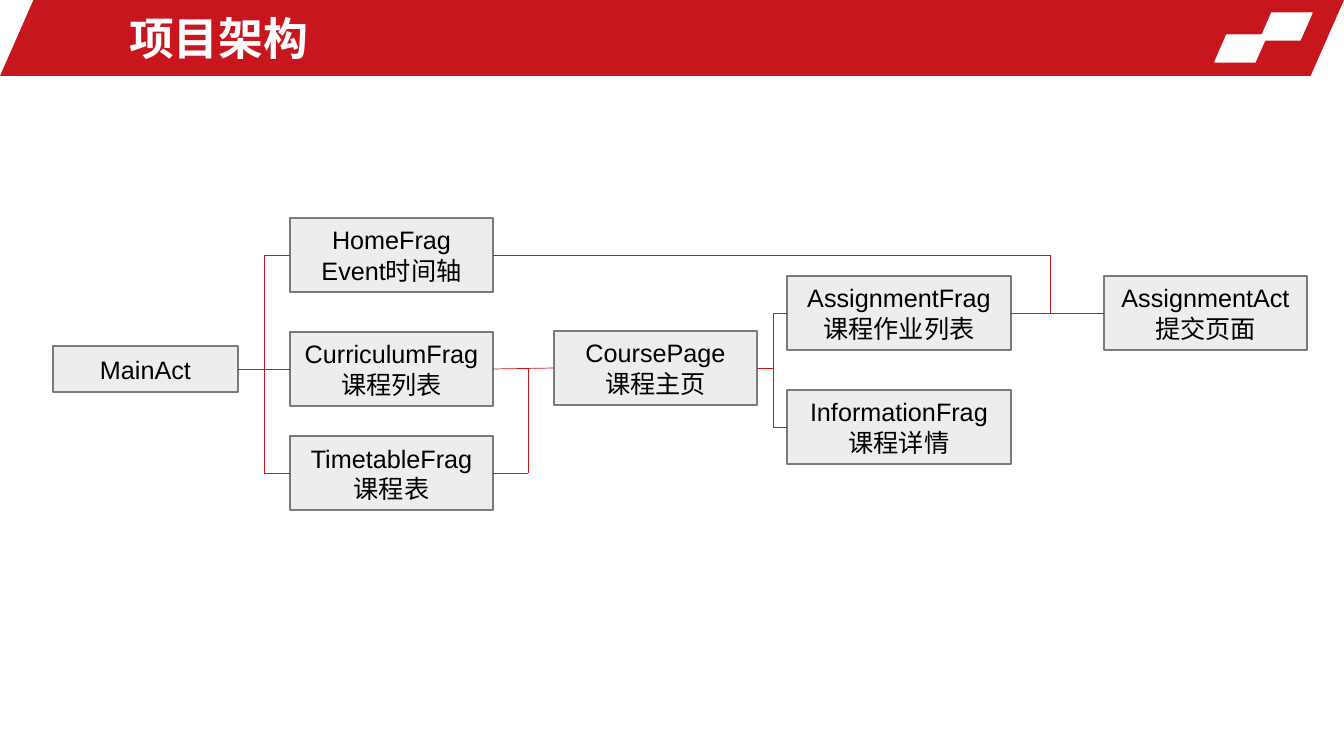
from lxml.etree import SubElement
from pptx import Presentation
from pptx.dml.color import RGBColor
from pptx.enum.shapes import MSO_CONNECTOR as Connector, MSO_SHAPE as Shape
from pptx.enum.text import MSO_ANCHOR as Anchor, MSO_AUTO_SIZE as AutoSize, PP_ALIGN as Align
from pptx.oxml.ns import qn
from pptx.util import Emu, Pt

EMU_PER_PX = 914400 / 100.8
COLORS = {"red": "C8161E", "white": "FFFFFF", "box": "EDEDED", "edge": "7A7A7A", "ink": "000000"}
TITLE_FONT = {"name": "Arial", "size": Pt(32), "bold": True}
NODE_FONT = {"name": "Arial", "size": Pt(18)}

NODE_HEIGHT = 74
# name: (left, top, width, height, paragraphs)
NODES = {
    "main": (53, 346, 185, 46, ["MainAct"]),
    "home": (290, 218, 203, NODE_HEIGHT, ["HomeFrag Event时间轴"]),
    "curriculum": (290, 332, 203, NODE_HEIGHT, ["CurriculumFrag", "课程列表"]),
    "timetable": (290, 436, 203, NODE_HEIGHT, ["TimetableFrag", "课程表"]),
    "submission": (1104, 276, 203, NODE_HEIGHT, ["AssignmentAct", "提交页面"]),
    "course": (554, 331, 203, NODE_HEIGHT, ["CoursePage", "课程主页"]),
    "assignment": (787, 276, 224, NODE_HEIGHT, ["AssignmentFrag课程作业列表"]),
    "information": (787, 390, 224, NODE_HEIGHT, ["InformationFrag", "课程详情"]),
}


def px(length):
    return Emu(round(length * EMU_PER_PX))


def color(name):
    return RGBColor.from_string(COLORS[name])


def format_font(font, values, ink):
    for key, value in values.items():
        setattr(font, key, value)
    font.color.rgb = color(ink)


def add_block(page, kind, box, fill, edge=None):
    block = page.shapes.add_shape(kind, *map(px, box))
    block.shadow.inherit = False
    block.fill.solid()
    block.fill.fore_color.rgb = color(fill)
    if edge:
        block.line.color.rgb = color(edge)
        block.line.width = Pt(1)
    else:
        block.line.fill.background()
    return block


def add_line(page, start, end):
    line = page.shapes.add_connector(Connector.STRAIGHT, *map(px, (*start, *end)))
    line.line.color.rgb = color("red")
    line.line.width = Pt(0.5)
    SubElement(line.element.spPr, qn("a:effectLst"))


def add_header(page, box, text):
    left, top, width, height = box
    parts = [(box, "red", None)]
    for offset_right, offset_top in ((84, 13), (129, 35)):
        parts.append(((left + width - offset_right, top + offset_top, 52, 27), "white", "white"))
    for part_box, fill, edge in parts:
        block = add_block(page, Shape.PARALLELOGRAM, part_box, fill, edge)
        block.adjustments[0] = 0.44

    title = page.shapes.title
    title.element.getparent().append(title.element)  # bring in front of the banner
    place = {"left": left + 119, "top": top + 5, "width": 780, "height": height - 10}
    for key, value in place.items():
        setattr(title, key, px(value))
    frame = title.text_frame
    frame.text = text
    frame.auto_size = AutoSize.NONE
    frame.vertical_anchor = Anchor.MIDDLE
    para = frame.paragraphs[0]
    para.alignment = Align.LEFT
    format_font(para.runs[0].font, TITLE_FONT, "white")


def add_node(page, box, lines):
    frame = add_block(page, Shape.RECTANGLE, box, "box", "edge").text_frame
    frame.word_wrap = True
    frame.vertical_anchor = Anchor.MIDDLE
    frame.text = "\n".join(lines)
    for para in frame.paragraphs:
        para.alignment = Align.CENTER
        format_font(para.runs[0].font, NODE_FONT, "ink")


def add_architecture(page, origin):
    """Draw the nodes and the lines that join the middles of their sides."""
    left_side, right_side = {}, {}
    for name, (left, top, width, height, lines) in NODES.items():
        left, top = left + origin[0], top + origin[1]
        add_node(page, (left, top, width, height), lines)
        middle = top + height / 2
        left_side[name] = (left, middle)
        right_side[name] = (left + width, middle)

    for source, target in (("main", "curriculum"), ("curriculum", "course"),
                           ("assignment", "submission")):
        add_line(page, right_side[source], left_side[target])

    # Each branch runs from a node side to a vertical trunk, then along it to a joint.
    branches = [
        (264, left_side["home"], left_side["curriculum"]),
        (264, left_side["timetable"], left_side["curriculum"]),
        (528, right_side["timetable"], right_side["curriculum"]),
        (773, left_side["assignment"], right_side["course"]),
        (773, left_side["information"], right_side["course"]),
        (1050, right_side["home"], left_side["submission"]),
    ]
    for trunk, end, joint in branches:
        corner = (trunk + origin[0], end[1])
        add_line(page, end, corner)
        add_line(page, corner, (corner[0], joint[1]))
    add_line(page, right_side["course"], (773 + origin[0], right_side["course"][1]))


def main():
    deck = Presentation()
    deck.slide_width, deck.slide_height = px(1344), px(756)
    page = deck.slides.add_slide(deck.slide_layouts.get_by_name("Title Only"))
    add_header(page, (0, 0, 1344, 76), "项目架构")
    add_architecture(page, (0, 0))
    deck.save("out.pptx")


if __name__ == "__main__":
    main()
